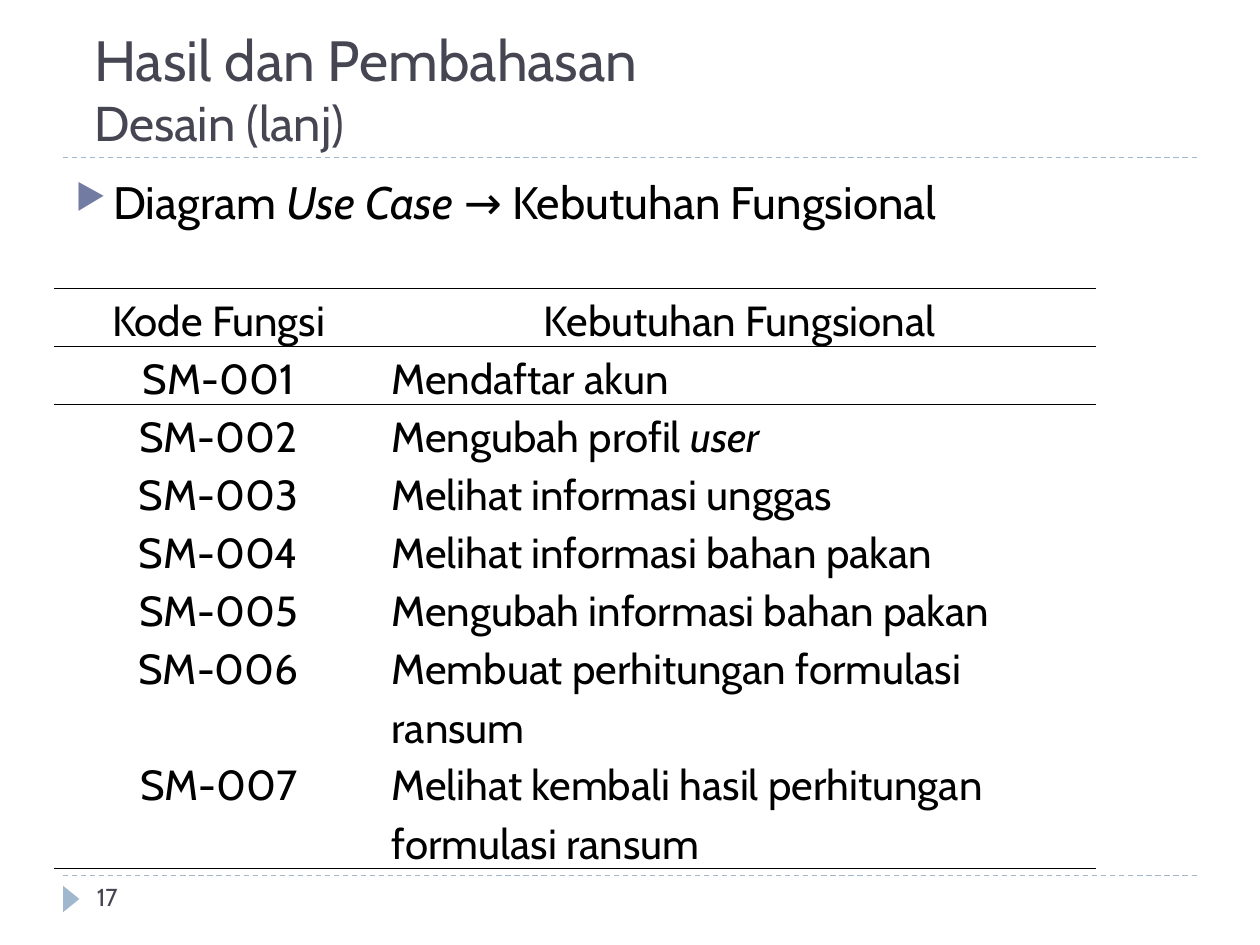
from dataclasses import dataclass

from lxml.etree import SubElement
from pptx import Presentation
from pptx.dml.color import RGBColor
from pptx.enum.dml import MSO_LINE
from pptx.enum.shapes import MSO_CONNECTOR, MSO_SHAPE
from pptx.enum.text import MSO_ANCHOR, PP_ALIGN
from pptx.oxml.ns import qn
from pptx.util import Inches, Pt

FONT = "Cabin"
BLACK, SLATE, SKY, INDIGO = "000000", "464653", "9FB8CD", "727CA3"
NO_TABLE_STYLE = "{2D5ABB26-0587-4C30-8999-92F81FD0307C}"


@dataclass(frozen=True)
class Requirement:
    """One table row; asterisks surround italic words."""
    code: str
    need: str


HEADER = Requirement("Kode Fungsi", "Kebutuhan Fungsional")
REQUIREMENTS = [
    Requirement(f"SM-{number:03d}", need)
    for number, need in enumerate([
        "Mendaftar akun",
        "Mengubah profil *user*",
        "Melihat informasi unggas",
        "Melihat informasi bahan pakan",
        "Mengubah informasi bahan pakan",
        "Membuat perhitungan formulasi ransum",
        "Melihat kembali hasil perhitungan formulasi ransum",
    ], start=1)
]


def color(value: str) -> RGBColor:
    """Turn a hex string into a colour."""
    return RGBColor.from_string(value)


def write(paragraph, text: str, *, size: float, fill: str = BLACK,
          align=PP_ALIGN.LEFT, line_spacing=None, space_before: float = 0) -> None:
    """Write text into a paragraph, with words between asterisks in italics."""
    paragraph.alignment = align
    paragraph.space_before = Pt(space_before)
    if line_spacing:
        paragraph.line_spacing = line_spacing
    for index, part in enumerate(text.split("*")):
        if part:
            run = paragraph.add_run()
            run.text = part
            run.font.name = FONT
            run.font.size = Pt(size)
            run.font.italic = index % 2 == 1
            run.font.color.rgb = color(fill)


def add_text_frame(slide, left: float, top: float, width: float, height: float,
                   anchor=MSO_ANCHOR.TOP):
    """Add a wrapping text box and return its text frame."""
    shape = slide.shapes.add_textbox(Inches(left), Inches(top), Inches(width), Inches(height))
    shape.text_frame.word_wrap = True
    shape.text_frame.vertical_anchor = anchor
    return shape.text_frame


def add_rule(slide, top: float) -> None:
    """Draw a dashed rule across the slide."""
    rule = slide.shapes.add_connector(
        MSO_CONNECTOR.STRAIGHT, Inches(0.5), Inches(top), Inches(9.5), Inches(top))
    rule.line.color.rgb = color(SKY)
    rule.line.width = Pt(0.75)
    rule.line.dash_style = MSO_LINE.DASH
    SubElement(rule._element.spPr, qn("a:effectLst"))


def add_page_marker(slide) -> None:
    """Draw the triangle beside the page number."""
    marker = slide.shapes.add_shape(
        MSO_SHAPE.ISOSCELES_TRIANGLE, Inches(0.46), Inches(7.07), Inches(0.21), Inches(0.13))
    marker.rotation = 90
    marker.shadow.inherit = False
    marker.fill.solid()
    marker.fill.fore_color.rgb = color(SKY)
    marker.line.fill.background()


def set_bullet(paragraph, character: str, fill: str, percent: int, indent: float) -> None:
    """Give a paragraph a coloured bullet and a hanging indent."""
    properties = paragraph._p.get_or_add_pPr()
    properties.set("marL", str(Inches(indent)))
    properties.set("indent", str(-Inches(indent)))
    bullet_color = SubElement(properties, qn("a:buClr"))
    SubElement(bullet_color, qn("a:srgbClr"), val=fill)
    SubElement(properties, qn("a:buSzPct"), val=str(percent * 1000))
    SubElement(properties, qn("a:buChar"), char=character)


def add_border(cell, side: str) -> None:
    """Draw a black line on one side of a cell."""
    line = SubElement(cell._tc.get_or_add_tcPr(), qn(f"a:{side}"), w=str(Pt(1)))
    solid = SubElement(line, qn("a:solidFill"))
    SubElement(solid, qn("a:srgbClr"), val=BLACK)


def add_requirements_table(slide) -> None:
    """Add the table of function codes and functional requirements."""
    rows = [HEADER, *REQUIREMENTS]
    table = slide.shapes.add_table(
        len(rows), 2, Inches(0.43), Inches(2.29), Inches(8.27), Inches(3.33)).table
    table._tbl.tblPr.find(qn("a:tableStyleId")).text = NO_TABLE_STYLE
    table.first_row = table.horz_banding = False
    table.columns[0].width, table.columns[1].width = Inches(2.61), Inches(5.66)
    for index, row in enumerate(rows):
        table.rows[index].height = Inches(0.42 if index else 0.39)
        for column, text in enumerate((row.code, row.need)):
            cell = table.cell(index, column)
            cell.margin_left = cell.margin_right = Inches(0.07)
            cell.margin_top = cell.margin_bottom = 0
            centred = index == 0 or column == 0
            write(cell.text_frame.paragraphs[0], text, size=24, line_spacing=1.15,
                  align=PP_ALIGN.CENTER if centred else PP_ALIGN.LEFT)
            if index in (0, 1):
                add_border(cell, "lnT")
            if index in (0, len(rows) - 1):
                add_border(cell, "lnB")
            cell.fill.background()


def main() -> None:
    """Build and save the slide."""
    presentation = Presentation()
    presentation.slide_width, presentation.slide_height = Inches(10), Inches(7.5)
    slide = presentation.slides.add_slide(presentation.slide_layouts[6])

    for top in (6.95, 1.25):
        add_rule(slide, top)
    add_page_marker(slide)

    title = add_text_frame(slide, 0.65, 0.17, 9, 1.08, MSO_ANCHOR.BOTTOM)
    write(title.paragraphs[0], "Hasil dan Pembahasan", size=32.4, fill=SLATE)
    write(title.add_paragraph(), "Desain (lanj)", size=27.9, fill=SLATE)

    page_number = add_text_frame(slide, 0.67, 6.95, 2.17, 0.4)
    write(page_number.paragraphs[0], "17", size=14, fill=SLATE)

    body = add_text_frame(slide, 0.5, 1.33, 9, 5.4).paragraphs[0]
    write(body, "Diagram *Use Case *→ Kebutuhan Fungsional", size=26, space_before=6)
    set_bullet(body, "▶", INDIGO, 76, 0.3)

    add_requirements_table(slide)
    presentation.save("out.pptx")


if __name__ == "__main__":
    main()
